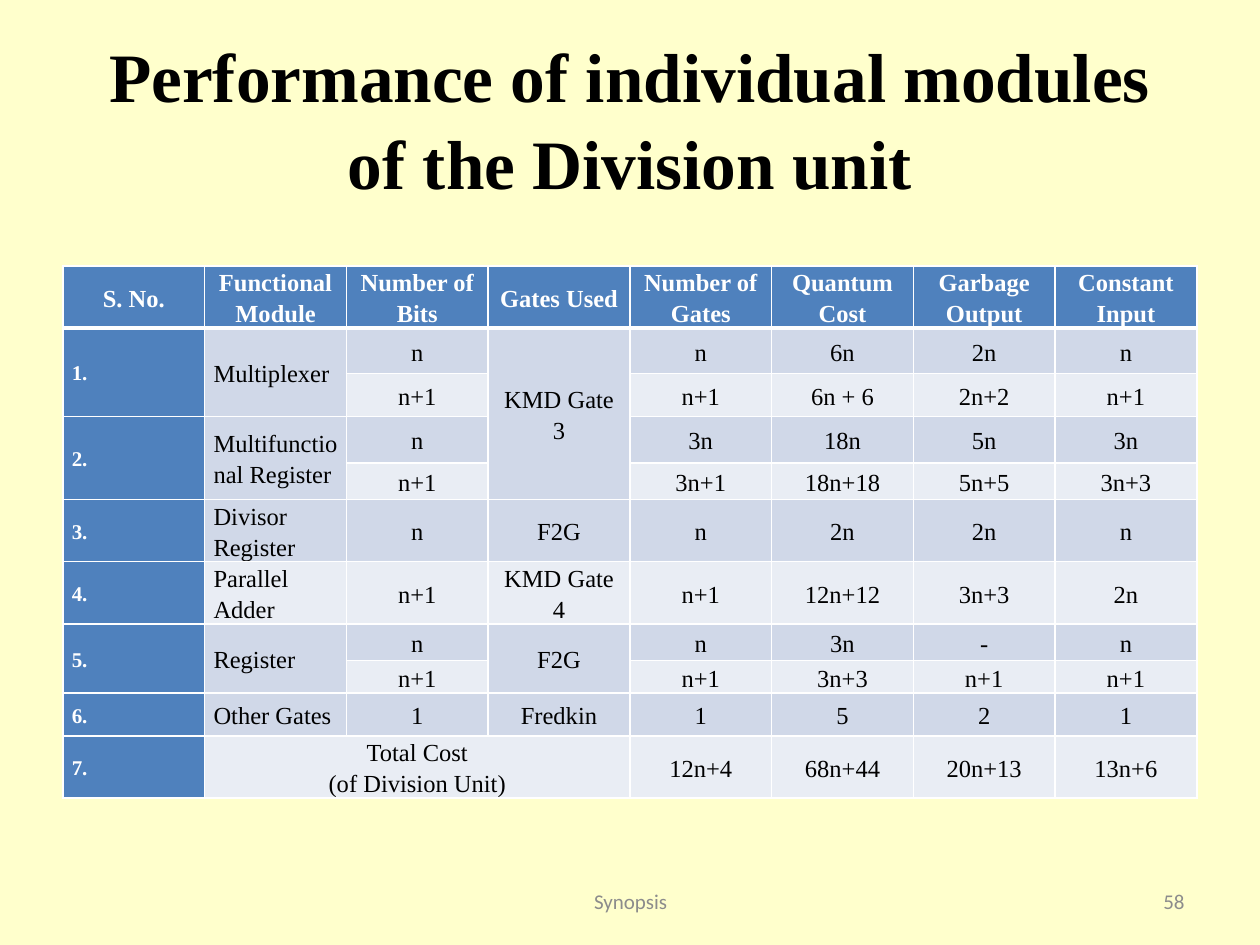
from dataclasses import dataclass

import lxml.etree
import pptx
import pptx.dml.color
import pptx.enum.text
import pptx.oxml.ns
import pptx.util

COLOURS = {
    "page": "FFFFCC",
    "header": "4F81BD",
    "odd band": "D0D8E8",
    "even band": "E9EDF4",
    "white": "FFFFFF",
    "black": "000000",
    "grey": "8C8C8C",
}
SERIF, SANS = "Times New Roman", "Calibri"
ALIGN = pptx.enum.text.PP_ALIGN
MIDDLE = pptx.enum.text.MSO_ANCHOR.MIDDLE
UNIT = pptx.util.Inches(0.1)  # the page is a grid of 100 columns by 75 rows


@dataclass(frozen=True)
class Area:
    """A place on the page grid."""
    column: float
    row: float
    columns: float
    rows: float

    def lengths(self) -> list[int]:
        return [round(n * UNIT) for n in (self.column, self.row, self.columns, self.rows)]


@dataclass(frozen=True)
class Merge:
    row: int
    column: int
    rows: int = 1
    columns: int = 1


@dataclass(frozen=True)
class Footer:
    text: str
    area: Area
    align: ALIGN


TITLE_AREA = Area(5, 3, 90, 12.5)
TABLE_AREA = Area(5, 21.1, 90, 45.4)
FOOTERS = [
    Footer("Synopsis", Area(34.2, 69.5, 31.7, 4), ALIGN.CENTER),
    Footer("58", Area(71.7, 69.5, 23.3, 4), ALIGN.RIGHT),
]
ROW_HEIGHTS = [3.4, 3.6, 3.4, 3.7, 2.9, 2.2, 2.3, 2.9, 2.6, 3.4, 3.1]
MODULES = [
    ["S. No.", "Functional Module", "Number of Bits", "Gates Used",
     "Number of Gates", "Quantum Cost", "Garbage Output", "Constant Input"],
    ["1.", "Multiplexer", "n", "KMD Gate 3", "n", "6n", "2n", "n"],
    [None, None, "n+1", None, "n+1", "6n + 6", "2n+2", "n+1"],
    ["2.", "Multifunctional Register", "n", None, "3n", "18n", "5n", "3n"],
    [None, None, "n+1", None, "3n+1", "18n+18", "5n+5", "3n+3"],
    ["3.", "Divisor Register", "n", "F2G", "n", "2n", "2n", "n"],
    ["4.", "Parallel Adder", "n+1", "KMD Gate 4", "n+1", "12n+12", "3n+3", "2n"],
    ["5.", "Register", "n", "F2G", "n", "3n", "-", "n"],
    [None, None, "n+1", None, "n+1", "3n+3", "n+1", "n+1"],
    ["6.", "Other Gates", "1", "Fredkin", "1", "5", "2", "1"],
    ["7.", "Total Cost\n(of Division Unit)", None, None,
     "12n+4", "68n+44", "20n+13", "13n+6"],
]
MERGES = [Merge(row, column, rows=2) for row in (1, 3, 7) for column in (0, 1)]
MERGES += [Merge(1, 3, rows=4), Merge(7, 3, rows=2), Merge(10, 1, columns=3)]


def colour(name: str) -> pptx.dml.color.RGBColor:
    return pptx.dml.color.RGBColor.from_string(COLOURS[name])


def write(frame, text: str, *, size: float, font: str = SERIF, ink: str = "black",
          bold: bool = False, align=ALIGN.CENTER, spacing: float = 1.0) -> None:
    """Fill a text frame, one paragraph for each line of text."""
    for number, line in enumerate(text.split("\n")):
        para = frame.add_paragraph() if number else frame.paragraphs[0]
        para.alignment = align
        para.line_spacing = spacing
        span = para.add_run()
        span.text = line
        span.font.name = font
        span.font.size = pptx.util.Pt(size)
        span.font.bold = bold
        span.font.color.rgb = colour(ink)


def add_borders(cell, widths: dict[str, float]) -> None:
    """Draw white edges; the keys are L, R, T and B, in that order."""
    properties = cell._tc.get_or_add_tcPr()
    for position, (side, width) in enumerate(widths.items()):
        edge = lxml.etree.Element(pptx.oxml.ns.qn(f"a:ln{side}"), w=str(pptx.util.Pt(width)))
        fill = lxml.etree.SubElement(edge, pptx.oxml.ns.qn("a:solidFill"))
        lxml.etree.SubElement(fill, pptx.oxml.ns.qn("a:srgbClr"), val=COLOURS["white"])
        properties.insert(position, edge)


def format_cell(cell, row: int, column: int) -> None:
    cell.vertical_anchor = MIDDLE
    cell.margin_left = cell.margin_right = pptx.util.Inches(0.07)
    cell.margin_top = cell.margin_bottom = 0
    add_borders(cell, {"L": 1, "R": 1, "T": 3 if row == 1 else 1, "B": 1 if row else 3})
    band = "odd band" if row % 2 else "even band"
    cell.fill.solid()
    cell.fill.fore_color.rgb = colour("header" if row == 0 or column == 0 else band)


def add_module_table(page) -> None:
    holder = page.shapes.add_table(len(MODULES), len(MODULES[0]), *TABLE_AREA.lengths())
    table = holder.table
    for row, height in zip(table.rows, ROW_HEIGHTS):
        row.height = round(height * UNIT)
    holder.height = TABLE_AREA.lengths()[3]
    for row, texts in enumerate(MODULES):
        for column, text in enumerate(texts):
            cell = table.cell(row, column)
            format_cell(cell, row, column)
            if text is None:
                continue
            heading = row == 0 or column == 0
            left = row > 0 and (column == 0 or text.split("\n")[0] != "Total Cost" and column == 1)
            write(cell.text_frame, text, size=12 if row and column == 0 else 14,
                  ink="white" if heading else "black", bold=heading,
                  align=ALIGN.LEFT if left else ALIGN.CENTER, spacing=1.15)
    for merge in MERGES:
        last = table.cell(merge.row + merge.rows - 1, merge.column + merge.columns - 1)
        table.cell(merge.row, merge.column).merge(last)


def add_title(page, text: str) -> None:
    title = page.shapes.title
    title.left, title.top, title.width, title.height = TITLE_AREA.lengths()
    title.text_frame.vertical_anchor = MIDDLE
    write(title.text_frame, text, size=39.6, bold=True, spacing=1.04)


def add_footer(page, footer: Footer) -> None:
    box = page.shapes.add_textbox(*footer.area.lengths())
    box.text_frame.word_wrap = True
    box.text_frame.vertical_anchor = MIDDLE
    write(box.text_frame, footer.text, size=12, font=SANS, ink="grey", align=footer.align)


def main() -> None:
    deck = pptx.Presentation()
    deck.slide_width, deck.slide_height = 100 * UNIT, 75 * UNIT
    page = deck.slides.add_slide(deck.slide_layouts[5])
    page.background.fill.solid()
    page.background.fill.fore_color.rgb = colour("page")
    add_title(page, "Performance of individual modules of the Division unit")
    add_module_table(page)
    for footer in FOOTERS:
        add_footer(page, footer)
    deck.save("out.pptx")


if __name__ == "__main__":
    main()
